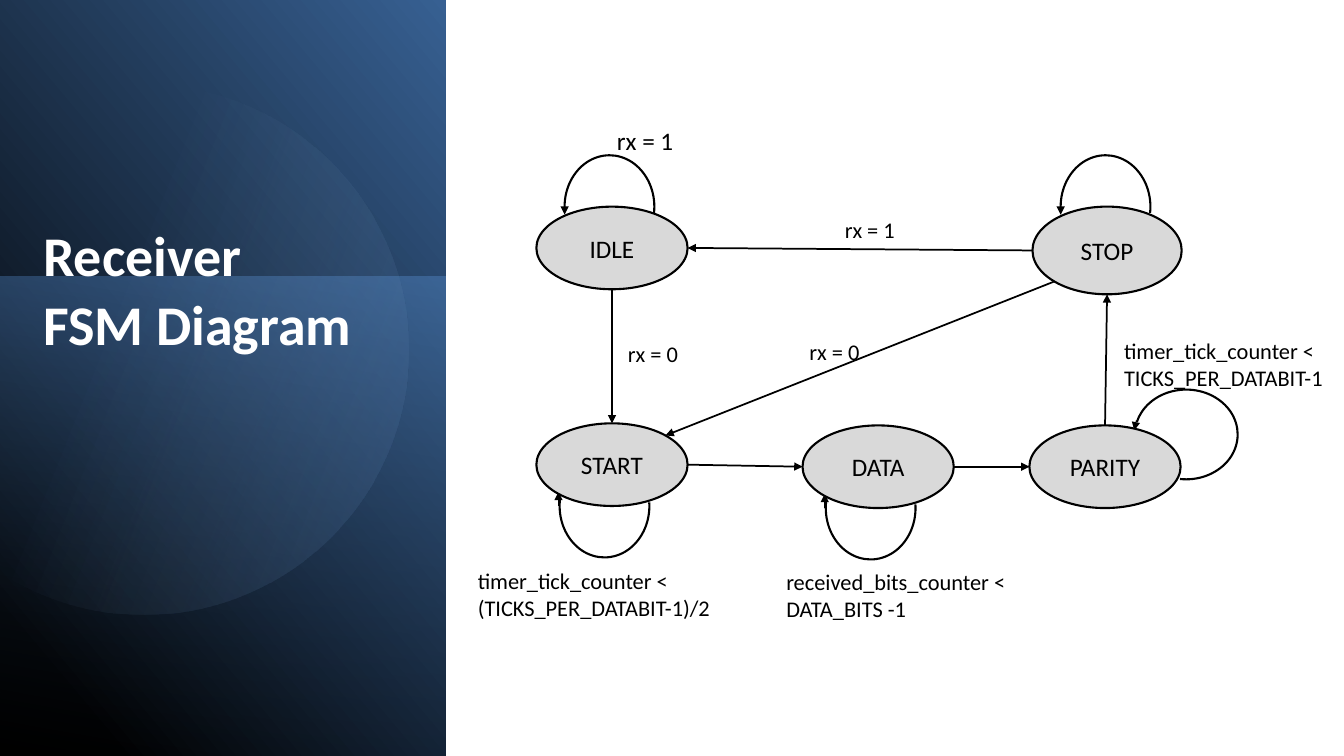
from math import cos, sin, radians

from lxml.etree import SubElement
from pptx import Presentation
from pptx.dml.color import RGBColor
from pptx.enum.shapes import MSO_CONNECTOR, MSO_SHAPE
from pptx.enum.text import MSO_ANCHOR, MSO_AUTO_SIZE, PP_ALIGN
from pptx.oxml.ns import qn
from pptx.util import Inches, Pt

COLORS = {
    "ink": "000000", "white": "FFFFFF", "state": "D9D9D9", "blue": "376092",
    "light": "4F81BD", "navy": "254061", "pale": "95B3D7",
}

# State ellipses: left, top, width, height, kind of self loop
STATES = {
    "IDLE": (5.32, 2.05, 1.5, 0.82, "above"),
    "STOP": (10.24, 2.05, 1.48, 0.87, "above"),
    "START": (5.32, 4.2, 1.5, 0.82, "below"),
    "DATA": (7.96, 4.22, 1.5, 0.82, "below"),
    "PARITY": (10.21, 4.22, 1.5, 0.82, "beside"),
}

# Self loops relative to the state: arc corner, rotation, start angle, arrow from, arrow to
LOOPS = {
    "above": ((0.28, -0.51), 0, 105.15, (0.28, -0.05), (0.28, 0.08)),
    "below": ((0.23, 0.31), 180, 105.15, (0.22, 0.82), (0.22, 0.68)),
    "beside": ((1.11, -0.42), 90, 62.48, (1.06, -0.05), (1.04, 0.05)),
}

# Transitions: state and clockwise angle on its ellipse, at both ends
TRANSITIONS = [
    ("IDLE", 90, "START", 270),
    ("START", 0, "DATA", 180),
    ("DATA", 0, "PARITY", 180),
    ("PARITY", 270, "STOP", 90),
    ("STOP", 180, "IDLE", 0),
    ("STOP", 135, "START", 315),
]

# Condition labels: text, left, top, width, height, size
LABELS = [
    ("rx = 1", 6.02, 1.19, 0.95, 0.4, 18),
    ("rx = 0", 6.13, 3.33, 0.84, 0.37, 16),
    ("rx = 0", 7.93, 3.31, 0.99, 0.37, 16),
    ("rx = 1", 8.28, 2.1, 0.99, 0.37, 16),
    ("received_bits_counter < DATA_BITS -1", 7.7, 5.59, 2.81, 0.64, 16),
    ("timer_tick_counter < (TICKS_PER_DATABIT-1)/2", 4.64, 5.58, 2.81, 0.64, 16),
    ("timer_tick_counter < TICKS_PER_DATABIT-1", 11.05, 3.3, 2.81, 0.64, 16),
]


def color(name):
    return RGBColor.from_string(COLORS[name])


def write_text(frame, text, size=16, ink="ink", bold=False, align=PP_ALIGN.LEFT,
               line_spacing=None, space_after=None):
    for index, line in enumerate(text.split("\n")):
        paragraph = frame.paragraphs[0] if index == 0 else frame.add_paragraph()
        paragraph.alignment = align
        paragraph.line_spacing = line_spacing
        paragraph.space_after = space_after
        run = paragraph.add_run()
        run.text = line
        run.font.name = "Calibri"
        run.font.size = Pt(size)
        run.font.bold = bold
        run.font.color.rgb = color(ink)


def fill_gradient(shape, stops, angle):
    """Fill with (position, color, opacity) stops along a clockwise angle."""
    shape.shadow.inherit = False
    shape.line.fill.background()
    shape.fill.gradient()
    shape.fill.gradient_angle = 360 - angle
    for stop, (position, name, _) in zip(shape.fill.gradient_stops, stops):
        stop.position = position
        stop.color.rgb = color(name)
    fill = shape.element.spPr.find(qn("a:gradFill"))
    for element, (_, _, opacity) in zip(fill.iter(qn("a:srgbClr")), stops):
        if opacity < 100:
            SubElement(element, qn("a:alpha")).set("val", str(opacity * 1000))


def add_preset(shapes, preset, left, top, width, height, rotation=0):
    shape = shapes.add_shape(preset, Inches(left), Inches(top), Inches(width), Inches(height))
    shape.rotation = rotation
    shape.shadow.inherit = False
    return shape


def add_arrow(shapes, start, end, weight):
    arrow = shapes.add_connector(MSO_CONNECTOR.STRAIGHT, *map(Inches, start + end))
    arrow.line.color.rgb = color("ink")
    arrow.line.width = Pt(weight)
    SubElement(arrow.line._get_or_add_ln(), qn("a:tailEnd")).set("type", "triangle")
    SubElement(arrow.element.spPr, qn("a:effectLst"))


def add_side_panel(slide, width, height):
    # Dark base, a quarter turn from upright
    middle_x, middle_y = width / 2, height / 2
    base = add_preset(slide.shapes, MSO_SHAPE.RECTANGLE, middle_x - 3.76, middle_y + 0.01 - width / 2,
                      7.52, width, 90)
    base.element.spPr.find(qn("a:xfrm")).set("flipH", "1")
    fill_gradient(base, [(0.11, "ink", 100), (1, "blue", 100)], 310)

    # Lighter lower part
    lower = add_preset(slide.shapes, MSO_SHAPE.RECTANGLE, middle_x - 2.38, height - 4.59,
                       4.76, width, 270)
    fill_gradient(lower, [(0, "light", 50), (1, "navy", 0)], 190)

    # Large circle cut off at the slide edge
    center_x, center_y, radius = middle_x - 0.4, middle_y + 0.19, 2.63
    points = [(Inches(center_x + radius * cos(angle)), Inches(center_y + radius * sin(angle)))
              for angle in (radians(135.5 + 245.8 * step / 120) for step in range(121))]
    builder = slide.shapes.build_freeform(*points[0])
    builder.add_line_segments(points[1:])
    circle = builder.convert_to_shape()
    circle.rotation = 101.6
    fill_gradient(circle, [(0.39, "pale", 0), (1, "blue", 26)], 280)


def add_title(slide, left, top, width, height):
    title = slide.shapes.title
    title.left, title.top, title.width, title.height = map(Inches, (left, top, width, height))
    frame = title.text_frame
    frame.word_wrap = True
    frame.auto_size = MSO_AUTO_SIZE.NONE
    frame.vertical_anchor = MSO_ANCHOR.TOP
    write_text(frame, "Receiver\nFSM Diagram", size=40, ink="white", bold=True,
               line_spacing=0.9, space_after=Pt(6))
    # Bring the title in front of the panel
    title.element.getparent().append(title.element)


def add_state(slide, name, left, top, width, height, loop):
    shapes = slide.shapes.add_group_shape().shapes
    corner, rotation, start_angle, arrow_from, arrow_to = LOOPS[loop]

    # Self loop
    arc = add_preset(shapes, MSO_SHAPE.ARC, left + corner[0], top + corner[1], 0.89, 1.02, rotation)
    arc.adjustments[0] = start_angle
    arc.adjustments[1] = 4.76
    arc.fill.background()
    arc.line.color.rgb = color("ink")
    arc.line.width = Pt(1.5)
    start, end = ((left + x, top + y) for x, y in (arrow_from, arrow_to))
    add_arrow(shapes, start, end, 0.5)

    # State
    ellipse = add_preset(shapes, MSO_SHAPE.OVAL, left, top, width, height)
    ellipse.fill.solid()
    ellipse.fill.fore_color.rgb = color("state")
    ellipse.line.color.rgb = color("ink")
    ellipse.line.width = Pt(1.5)
    ellipse.text_frame.vertical_anchor = MSO_ANCHOR.MIDDLE
    write_text(ellipse.text_frame, name, size=18, align=PP_ALIGN.CENTER)


def rim_point(name, angle):
    left, top, width, height, _ = STATES[name]
    return (left + width / 2 * (1 + cos(radians(angle))),
            top + height / 2 * (1 + sin(radians(angle))))


def add_label(slide, text, left, top, width, height, size):
    box = slide.shapes.add_textbox(Inches(left), Inches(top), Inches(width), Inches(height))
    box.text_frame.word_wrap = True
    box.text_frame.auto_size = MSO_AUTO_SIZE.SHAPE_TO_FIT_TEXT
    write_text(box.text_frame, text, size=size)


def add_diagram(slide):
    for name, place in STATES.items():
        add_state(slide, name, *place)
    for source, source_angle, target, target_angle in TRANSITIONS:
        add_arrow(slide.shapes, rim_point(source, source_angle), rim_point(target, target_angle), 1.25)
    for label in LABELS:
        add_label(slide, *label)


def main():
    presentation = Presentation()
    presentation.slide_width, presentation.slide_height = Inches(13.33), Inches(7.5)
    slide = presentation.slides.add_slide(presentation.slide_layouts[5])
    add_side_panel(slide, 4.42, 7.5)
    add_title(slide, 0.33, 2.21, 3.33, 3.86)
    add_diagram(slide)
    presentation.save("out.pptx")


if __name__ == "__main__":
    main()
